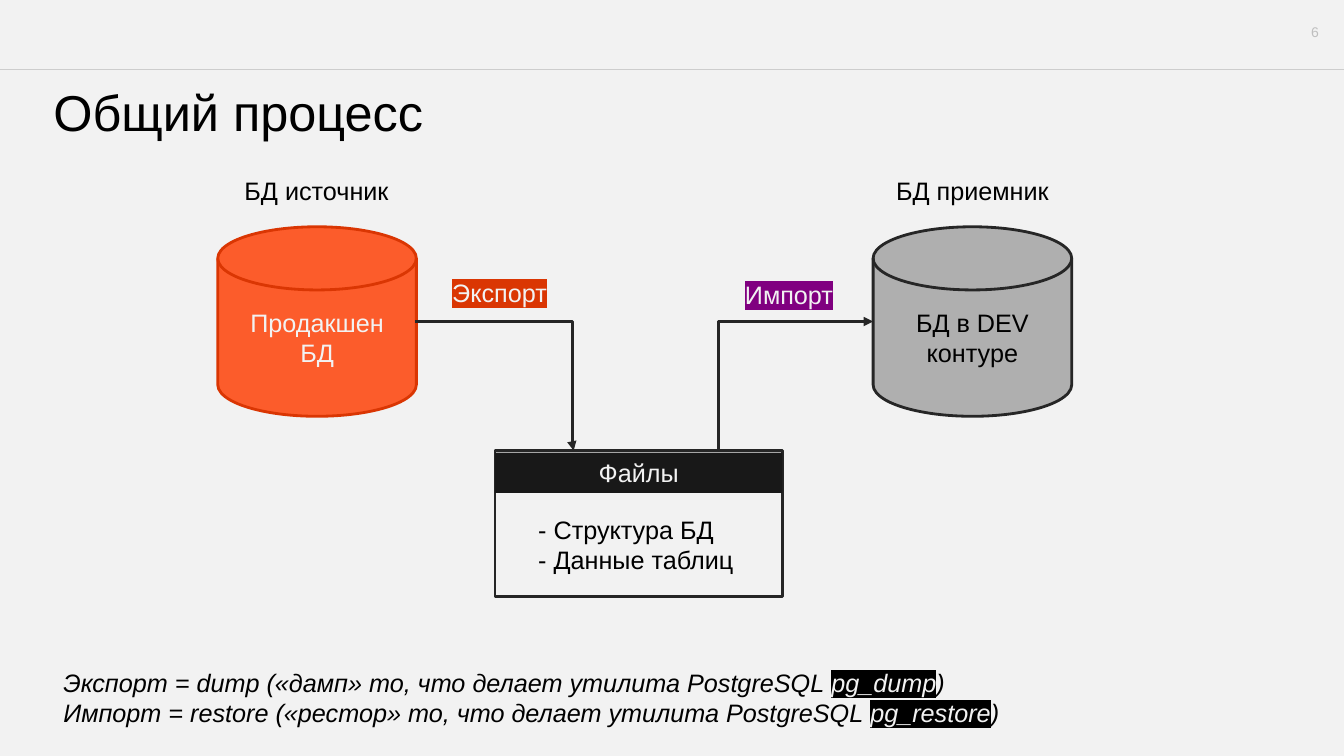
from lxml import etree
from pptx import Presentation
from pptx.dml.color import RGBColor
from pptx.enum.shapes import MSO_CONNECTOR, MSO_SHAPE
from pptx.enum.text import MSO_ANCHOR, PP_ALIGN
from pptx.oxml.ns import qn
from pptx.util import Inches, Pt

LEFT, CENTER, RIGHT = PP_ALIGN.LEFT, PP_ALIGN.CENTER, PP_ALIGN.RIGHT
TOP, MIDDLE = MSO_ANCHOR.TOP, MSO_ANCHOR.MIDDLE
DISK, RECT = MSO_SHAPE.FLOWCHART_MAGNETIC_DISK, MSO_SHAPE.RECTANGLE
STRAIGHT, ELBOW = MSO_CONNECTOR.STRAIGHT, MSO_CONNECTOR.ELBOW

THEME = {
    "font": "Arial",
    "title": 36, "body": 18, "small": 10,
    "paper": "F2F2F2", "ink": "000000", "dark": "262626", "header": "181818",
    "orange": "FC5C2B", "rust": "DA3603", "gray": "AFAFAF", "purple": "800080",
    "rule": "CDCDCD", "number": "BFBFBF",
}


def color(name):
    return RGBColor.from_string(THEME[name])


def write(sp, paragraphs, ink="ink", size="body", align=CENTER, anchor=TOP,
          inset=None, spacing=None, italic=None):
    tf = sp.text_frame
    frame = {"word_wrap": True, "vertical_anchor": anchor}
    if inset is not None:
        for side in ("left", "top", "right", "bottom"):
            frame[f"margin_{side}"] = Inches(inset)
    for name, value in frame.items():
        setattr(tf, name, value)
    for i, runs in enumerate(paragraphs):
        p = tf.add_paragraph() if i else tf.paragraphs[0]
        p.alignment, p.line_spacing = align, spacing
        for text, run_ink, mark in runs:
            r = p.add_run()
            r.text = text
            font = {"name": THEME["font"], "size": Pt(THEME[size]), "italic": italic}
            for name, value in font.items():
                setattr(r.font, name, value)
            r.font.color.rgb = color(run_ink or ink)
            if mark:
                highlight = etree.Element(qn("a:highlight"))
                etree.SubElement(highlight, qn("a:srgbClr"), val=THEME[mark])
                r.font._element.find(qn("a:solidFill")).addnext(highlight)


prs = Presentation()
prs.slide_width, prs.slide_height = Inches(13.33), Inches(7.5)
s = prs.slides.add_slide(prs.slide_layouts[6])
s.background.fill.solid()
s.background.fill.fore_color.rgb = color("paper")

shapes = [
    (DISK, (2.16, 2.25, 1.97, 1.88), "orange", "rust", ["Продакшен", "БД"], "paper", MIDDLE),
    (DISK, (8.66, 2.25, 1.97, 1.88), "gray", "dark", ["БД в DEV контуре"], "ink", MIDDLE),
    (RECT, (4.91, 4.47, 2.85, 1.45), None, "dark", [], "ink", MIDDLE),
    (RECT, (4.91, 4.49, 2.85, 0.4), "header", None, ["Файлы"], "paper", TOP),
]
for kind, box, fill, line, lines, ink, anchor in shapes:
    sp = s.shapes.add_shape(kind, *map(Inches, box))
    sp.shadow.inherit = False
    if fill:
        sp.fill.solid()
        sp.fill.fore_color.rgb = color(fill)
    else:
        sp.fill.background()
    if line:
        sp.line.color.rgb = color(line)
        sp.line.width = Pt(2)
    else:
        sp.line.fill.background()
    write(sp, [[(text, None, None)] for text in lines], ink=ink, anchor=anchor)

connectors = [
    (STRAIGHT, (0, 0.69, 13.33, 0.69), "rule", 1, None),
    (ELBOW, (4.12, 3.19, 5.69, 4.47), "dark", 2.25, 99000),
    (ELBOW, (7.08, 4.47, 8.66, 3.19), "dark", 2.25, 3100),
]
for kind, ends, ink, width, bend in connectors:
    sp = s.shapes.add_connector(kind, *map(Inches, ends))
    sp.line.color.rgb = color(ink)
    sp.line.width = Pt(width)
    spPr = sp._element.spPr
    etree.SubElement(spPr, qn("a:effectLst"))
    if bend is not None:
        guides = spPr.find(qn("a:prstGeom")).get_or_add_avLst()
        etree.SubElement(guides, qn("a:gd"), name="adj1", fmla=f"val {bend}")
        etree.SubElement(spPr.find(qn("a:ln")), qn("a:tailEnd"), type="triangle")

utilities = [
    ("Экспорт = dump («дамп» то, что делает утилита PostgreSQL ", "pg_dump"),
    ("Импорт = restore («рестор» то, что делает утилита PostgreSQL ", "pg_restore"),
]
notes = [[(lead, None, None), (command, "paper", "ink"), (")", None, None)]
         for lead, command in utilities]
contents = [[("- Структура БД", None, None)], [("- Данные таблиц", None, None)]]

texts = [
    ((12.45, 0.23, 0.63, 0.18), [[("6", None, None)]],
     {"ink": "number", "size": "small", "align": RIGHT, "inset": 0}),
    ((0.48, 0.83, 12.36, 0.63), [[("Общий процесс", None, None)]],
     {"size": "title", "align": LEFT, "anchor": MIDDLE, "inset": 0.05, "spacing": 0.9}),
    ((2.07, 1.69, 2.14, 0.4), [[("БД источник", None, None)]], {}),
    ((8.48, 1.69, 2.33, 0.4), [[("БД приемник", None, None)]], {}),
    ((5.24, 5.05, 2.2, 0.71), contents, {"align": LEFT}),
    ((4.21, 2.7, 1.49, 0.4), [[("Экспорт", "paper", "rust")]], {}),
    ((7.08, 2.72, 1.49, 0.4), [[("Импорт", "paper", "purple")]], {}),
    ((0.53, 6.57, 10.33, 0.71), notes, {"align": LEFT, "italic": True}),
]
for box, paragraphs, style in texts:
    write(s.shapes.add_textbox(*map(Inches, box)), paragraphs, **style)

prs.save("out.pptx")
